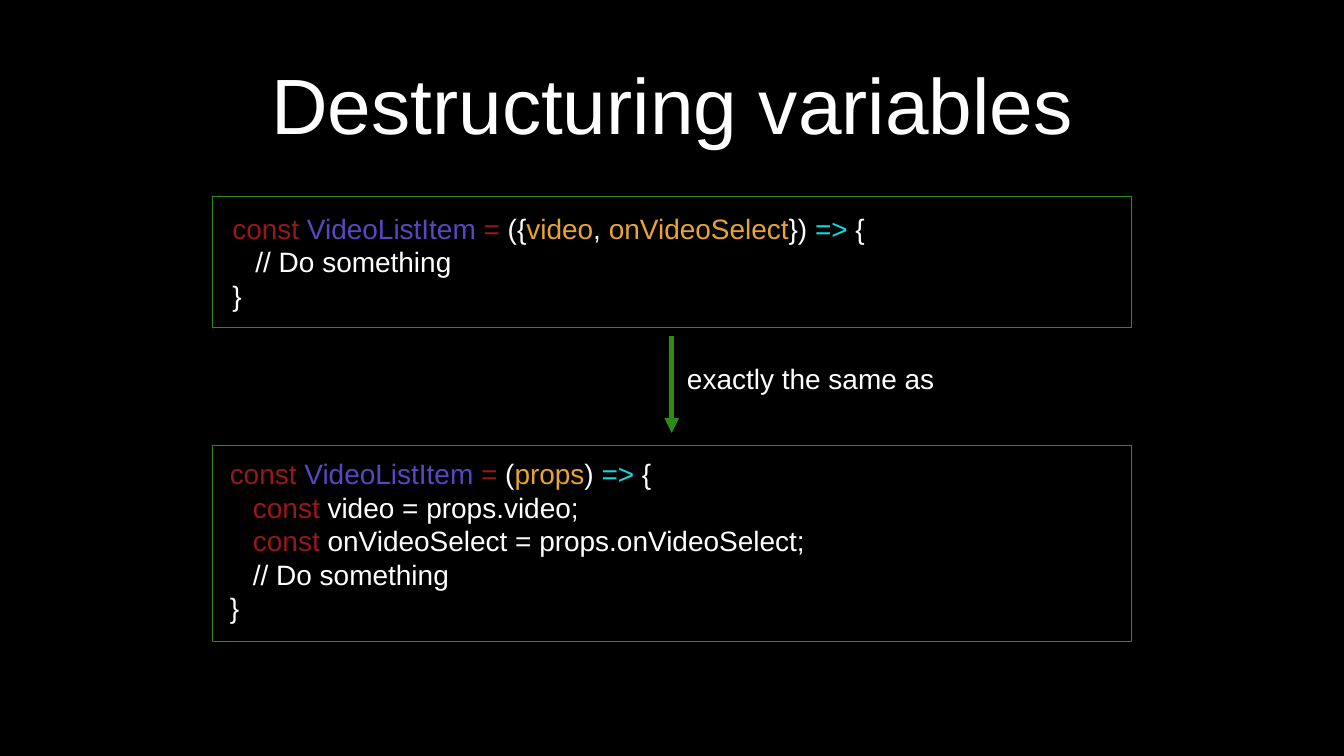
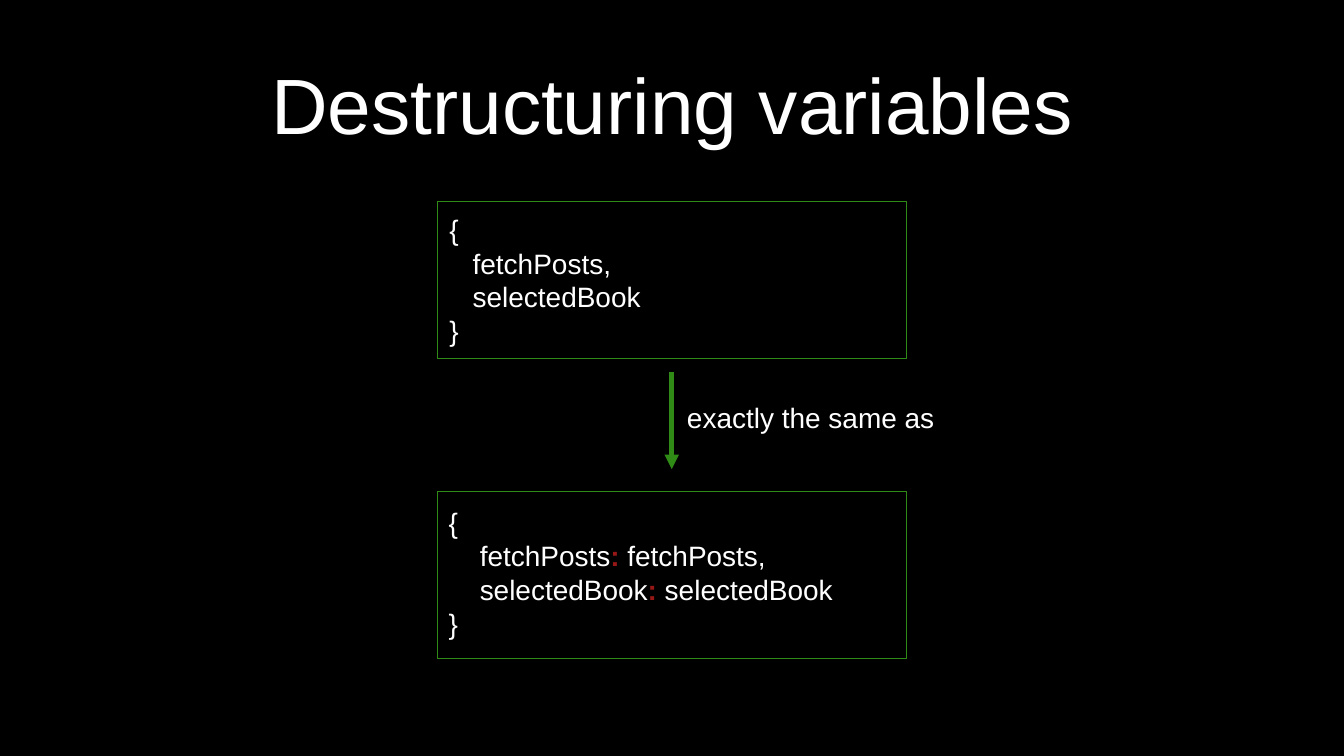
from lxml.etree import SubElement
from pptx import Presentation
from pptx.dml.color import RGBColor as RGB
from pptx.enum.shapes import MSO_CONNECTOR as Line, MSO_SHAPE as Shape
from pptx.enum.text import MSO_ANCHOR as Anchor, MSO_AUTO_SIZE as Fit, PP_ALIGN as Align
from pptx.oxml.ns import qn
from pptx.util import Inches, Pt

WIDE, HIGH = 26.67, 15
MID = 13.33
DROP = 1.93  # arrow length
HUES = {
    "black": "000000", "white": "FFFFFF", "green": "308B16", "red": "971817",
    "blue": "5747C1", "gold": "E8A432", "cyan": "11DBE2",
}


def hue(name):
    return RGB.from_string(HUES[name])


def write(slide, spot, lines, size=40, align=Align.LEFT, wrap=True, fit=Fit.SHAPE_TO_FIT_TEXT):
    """Add a text box; each line is an indent in inches, then (text, colour) runs."""
    box = slide.shapes.add_textbox(*map(Inches, spot))
    frame = box.text_frame
    frame.word_wrap = wrap
    frame.auto_size = fit
    frame.vertical_anchor = Anchor.MIDDLE
    frame.margin_left = frame.margin_right = Inches(0.08)
    frame.margin_top = frame.margin_bottom = Inches(0.08)
    for i, (indent, *runs) in enumerate(lines):
        para = frame.add_paragraph() if i else frame.paragraphs[0]
        para.alignment = align
        if indent:
            para._p.get_or_add_pPr().set("marL", str(Inches(indent)))
        for text, color in runs:
            run = para.add_run()
            run.text = text
            font = run.font
            font.name, font.size = "Arial", Pt(size)
            font.bold = text == ":"
            font.color.rgb = hue(color)


TAB, DEEP = 0.46, 0.62
HEAD = [("const ", "red"), ("VideoListItem ", "blue"), ("=", "red")]
ARROW = [("=>", "cyan"), (" {", "white")]
NOTE = (TAB, ("// Do something", "white"))
OPEN, CLOSE = (0, ("{", "white")), (0, ("}", "white"))

short_func = [
    (0, *HEAD, (" ({", "white"), ("video", "gold"), (", ", "white"),
     ("onVideoSelect", "gold"), ("}) ", "white"), *ARROW),
    NOTE,
    CLOSE,
]
long_func = [
    (0, *HEAD, (" (", "white"), ("props", "gold"), (") ", "white"), *ARROW),
    (TAB, ("const", "red"), (" video = props.video;", "white")),
    (TAB, ("const", "red"), (" onVideoSelect = props.onVideoSelect;", "white")),
    NOTE,
    CLOSE,
]
short_obj = [
    OPEN,
    (TAB, ("fetchPosts,", "white")),
    (TAB, ("selectedBook", "white")),
    CLOSE,
]
long_obj = [
    OPEN,
    (DEEP, ("fetchPosts", "white"), (":", "red"), (" fetchPosts,", "white")),
    (DEEP, ("selectedBook", "white"), (":", "red"), (" selectedBook", "white")),
    CLOSE,
]

# Each page: frame width, arrow top, label top, then
# (frame top, frame height, code place, code) for both frames
pages = [
    (18.23, 6.66, 7.09, [
        (3.9, 2.59, (4.53, 4.11, 17.8, 2.16), short_func),
        (8.83, 3.9, (4.48, 8.98, 17.84, 3.49), long_func),
    ]),
    (9.3, 7.38, 7.87, [
        (3.99, 3.12, (8.84, 4.14, 8.66, 2.82), short_obj),
        (9.75, 3.31, (8.82, 9.95, 8.61, 2.82), long_obj),
    ]),
]

deck = Presentation()
deck.slide_width, deck.slide_height = Inches(WIDE), Inches(HIGH)

for width, start, label, frames in pages:
    slide = deck.slides.add_slide(deck.slide_layouts[6])
    back = slide.background.fill
    back.solid()
    back.fore_color.rgb = hue("black")
    write(slide, (4.8, 0.39, 17.07, 3.32), [(0, ("Destructuring variables", "white"))],
          size=112, align=Align.CENTER, fit=Fit.NONE)

    for top, height, spot, code in frames:
        rect = slide.shapes.add_shape(
            Shape.RECTANGLE, Inches((WIDE - width) / 2), Inches(top),
            Inches(width), Inches(height))
        rect.shadow.inherit = False
        rect.fill.solid()
        rect.fill.fore_color.rgb = hue("black")
        rect.line.color.rgb = hue("green")
        rect.line.width = Pt(1)
        write(slide, spot, code)

    arrow = slide.shapes.add_connector(
        Line.STRAIGHT, Inches(MID), Inches(start), Inches(MID), Inches(start + DROP))
    arrow.line.color.rgb = hue("green")
    arrow.line.width = Pt(7)
    SubElement(arrow.line._get_or_add_ln(), qn("a:tailEnd"), type="triangle")
    SubElement(arrow._element.spPr, qn("a:effectLst"))
    write(slide, (13.53, label, 5.11, 0.82), [(0, ("exactly the same as", "white"))],
          align=Align.CENTER, wrap=False)

deck.save("out.pptx")
